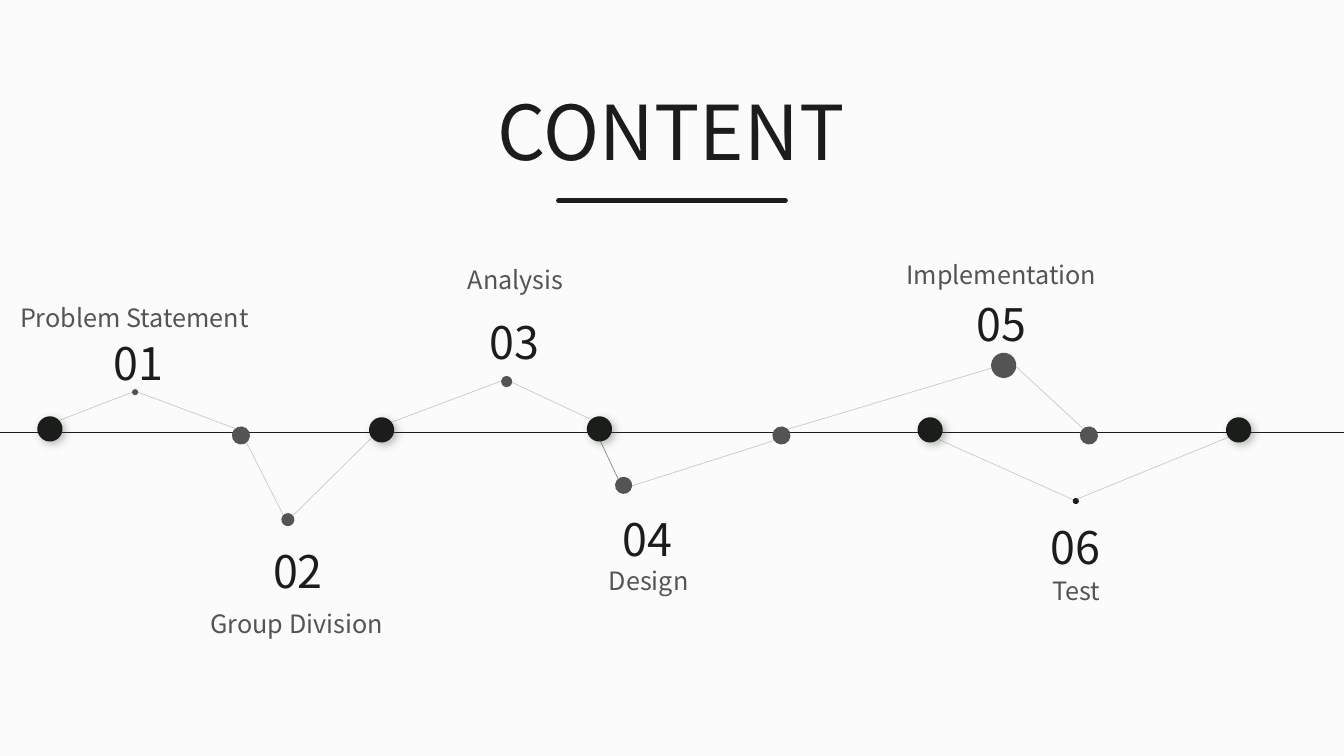
"""Build a contents slide with six topics along a zigzag timeline."""
from dataclasses import dataclass

import lxml.etree
import pptx
import pptx.dml.color
import pptx.enum.shapes
import pptx.enum.text
import pptx.oxml
import pptx.oxml.ns
import pptx.slide
import pptx.util

Inches = pptx.util.Inches
Pt = pptx.util.Pt
qn = pptx.oxml.ns.qn
FONT = "Noto Sans CJK SC"
INK, GREY, PAPER, SHADOW = "1A1D1A", "545454", "FBFBFB", "505950"
AXIS_Y = 4.29


@dataclass(frozen=True)
class Dot:
    left: float
    top: float
    size: float
    color: str = GREY
    shadow: bool = False


@dataclass(frozen=True)
class Line:
    x1: float
    y1: float
    x2: float
    y2: float
    width: float = 0.5
    opacity: int = 21
    cap: str = "flat"


@dataclass(frozen=True)
class Label:
    text: str
    left: float
    top: float
    width: float
    height: float
    size: int
    color: str
    centred: bool = False
    wrap: bool = True


@dataclass(frozen=True)
class Topic:
    name: str
    name_left: float
    name_top: float
    number_left: float
    number_top: float


TITLE = Label("CONTENT", 4.84, 0.79, 3.83, 1.01, 54, INK, wrap=False)
RULES = [
    Line(5.54, 1.99, 7.79, 1.99, 3.5, 100, "rnd"),
    Line(0, AXIS_Y, 13.33, AXIS_Y, 0.75, 100),
]
MILESTONES = [
    Dot(left, top, 0.25, INK, True)
    for left, top in [(0.37, 4.13), (3.66, 4.14), (5.82, 4.13), (9.1, 4.14), (12.16, 4.14)]
]
TURNS = [Dot(left, 4.23, 0.18) for left in (2.3, 7.66, 10.71)]
LINKS = [
    Line(0.59, 4.17, 1.34, 3.88),
    Line(1.34, 3.88, 2.33, 4.25),
    Line(2.44, 4.38, 2.81, 5.11),
    Line(2.9, 5.12, 3.69, 4.34),
    Line(3.88, 4.19, 4.97, 3.78),
    Line(5.86, 4.16, 5.07, 3.79),
    Line(5.91, 4.28, 6.13, 4.75, opacity=51),
    Line(7.68, 4.37, 6.27, 4.82),
    Line(9.84, 3.65, 7.81, 4.26),
    Line(10.74, 4.25, 10.08, 3.64),
    Line(10.65, 4.96, 9.31, 4.36),
    Line(12.18, 4.34, 10.66, 4.96),
]
PEAKS = [
    Dot(1.31, 3.86, 0.06),
    Dot(2.79, 5.09, 0.13),
    Dot(4.97, 3.73, 0.11),
    Dot(6.1, 4.73, 0.17),
    Dot(9.83, 3.5, 0.25),
    Dot(10.64, 4.94, 0.06, INK),
]
TOPICS = [
    Topic("Problem Statement", 0.1, 2.95, 0.41, 3.28),
    Topic("Group Division", 1.99, 5.99, 1.99, 5.34),
    Topic("Analysis", 4.54, 2.57, 4.14, 3.07),
    Topic("Design", 5.94, 5.56, 5.46, 5.03),
    Topic("Implementation", 8.89, 2.52, 8.97, 2.89),
    Topic("Test", 10.34, 5.66, 9.7, 5.11),
]


def rgb(color: str) -> pptx.dml.color.RGBColor:
    return pptx.dml.color.RGBColor.from_string(color)


def draw_dot(slide: pptx.slide.Slide, dot: Dot) -> None:
    ellipse = slide.shapes.add_shape(
        pptx.enum.shapes.MSO_SHAPE.OVAL,
        Inches(dot.left), Inches(dot.top), Inches(dot.size), Inches(dot.size),
    )
    ellipse.rotation = 186.2
    ellipse.fill.solid()
    ellipse.fill.fore_color.rgb = rgb(dot.color)
    ellipse.line.fill.background()
    ellipse.shadow.inherit = False
    if dot.shadow:
        effects = ellipse._element.spPr.find(qn("a:effectLst"))
        outer = lxml.etree.SubElement(
            effects, qn("a:outerShdw"), blurRad=str(Pt(6)), dist=str(Pt(3)),
            dir="2700000", algn="tl", rotWithShape="0",
        )
        tint = lxml.etree.SubElement(outer, qn("a:srgbClr"), val=SHADOW)
        lxml.etree.SubElement(tint, qn("a:alpha"), val="40000")


def draw_line(slide: pptx.slide.Slide, line: Line) -> None:
    connector = slide.shapes.add_connector(
        pptx.enum.shapes.MSO_CONNECTOR.STRAIGHT,
        Inches(line.x1), Inches(line.y1), Inches(line.x2), Inches(line.y2),
    )
    connector.line.width = Pt(line.width)
    connector.line.color.rgb = rgb(INK)
    properties = connector._element.spPr
    stroke = properties.find(qn("a:ln"))
    stroke.set("cap", line.cap)
    if line.opacity < 100:
        tint = stroke.find(".//" + qn("a:srgbClr"))
        lxml.etree.SubElement(tint, qn("a:alpha"), val=str(line.opacity * 1000))
    lxml.etree.SubElement(properties, qn("a:effectLst"))


def draw_label(slide: pptx.slide.Slide, label: Label) -> None:
    frame = slide.shapes.add_textbox(
        Inches(label.left), Inches(label.top), Inches(label.width), Inches(label.height)
    ).text_frame
    frame.word_wrap = label.wrap
    frame.auto_size = pptx.enum.text.MSO_AUTO_SIZE.SHAPE_TO_FIT_TEXT
    paragraph = frame.paragraphs[0]
    paragraph.text = label.text
    if label.centred:
        paragraph.alignment = pptx.enum.text.PP_ALIGN.CENTER
    paragraph.font.name = FONT
    paragraph.font.size = Pt(label.size)
    paragraph.font.color.rgb = rgb(label.color)


def draw_topic(slide: pptx.slide.Slide, number: int, topic: Topic) -> None:
    draw_label(slide, Label(f"{number:02}", topic.number_left, topic.number_top,
                            1.93, 0.64, 32, INK, centred=True))
    draw_label(slide, Label(topic.name, topic.name_left, topic.name_top,
                            2.52, 0.4, 18, GREY))


def main() -> None:
    presentation = pptx.Presentation()
    presentation.slide_width = Inches(13.33)
    presentation.slide_height = Inches(7.5)
    slide = presentation.slides.add_slide(presentation.slide_layouts[6])
    slide.background.fill.solid()
    slide.background.fill.fore_color.rgb = rgb(PAPER)

    draw_label(slide, TITLE)
    for rule in RULES:
        draw_line(slide, rule)
    for dot in MILESTONES + TURNS:
        draw_dot(slide, dot)
    for link in LINKS:
        draw_line(slide, link)
    for peak in PEAKS:
        draw_dot(slide, peak)
    for number, topic in enumerate(TOPICS, start=1):
        draw_topic(slide, number, topic)
    presentation.save("out.pptx")


if __name__ == "__main__":
    main()
